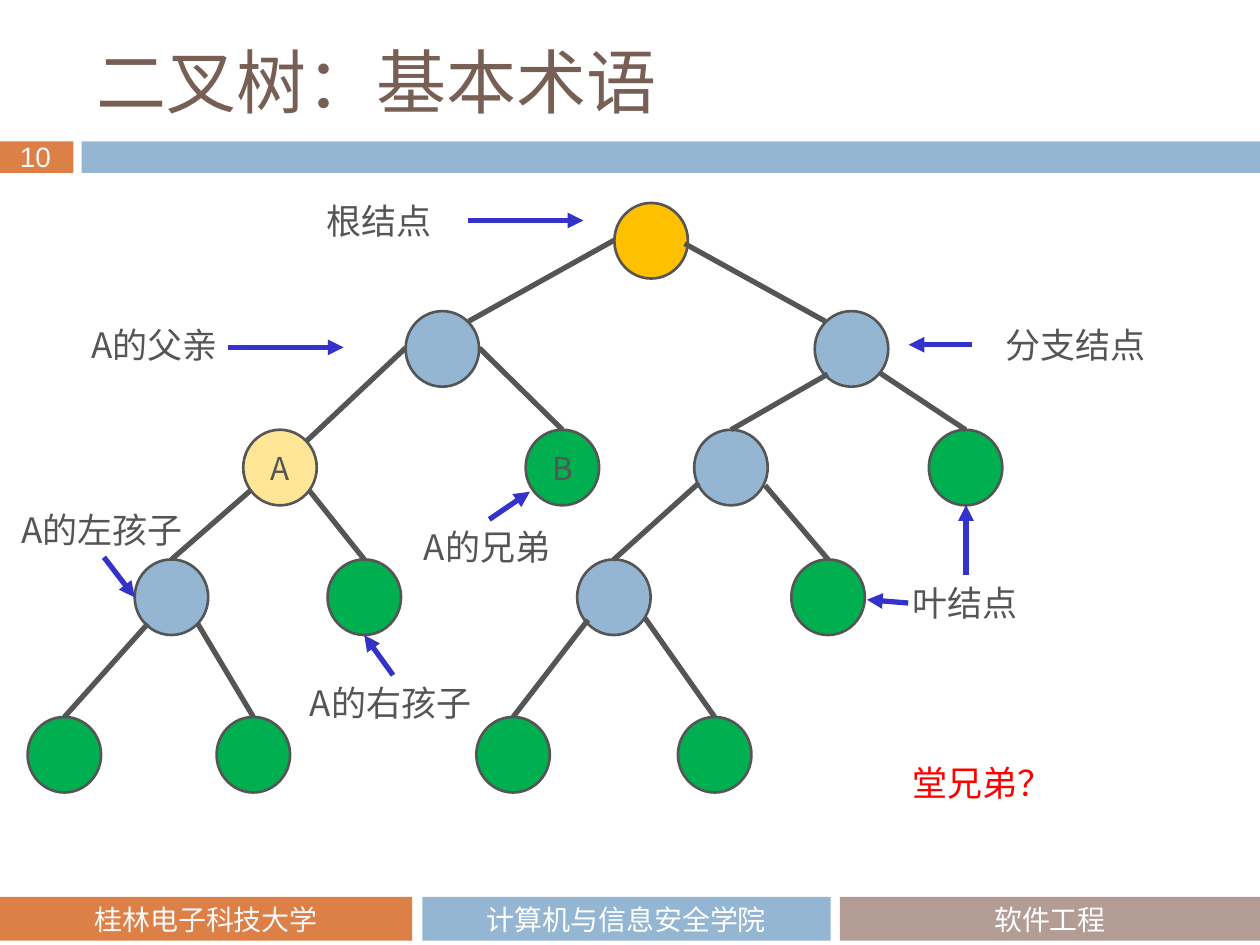
from lxml.etree import SubElement
from pptx import Presentation
from pptx.dml.color import RGBColor
from pptx.enum.shapes import MSO_CONNECTOR, MSO_SHAPE
from pptx.enum.text import MSO_ANCHOR, PP_ALIGN
from pptx.oxml.ns import qn
from pptx.util import Pt

ORANGE = RGBColor(0xDD, 0x80, 0x47)
BLUE = RGBColor(0x94, 0xB6, 0xD2)
TAUPE = RGBColor(0xB2, 0x9C, 0x93)
BROWN = RGBColor(0x77, 0x5F, 0x55)
WHITE = RGBColor(0xFF, 0xFF, 0xFF)
PALE = RGBColor(0xF9, 0xF9, 0xF9)
GRAY = RGBColor(0x55, 0x55, 0x55)
GOLD = RGBColor(0xFF, 0xC0, 0x00)
CREAM = RGBColor(0xFF, 0xE6, 0x97)
GREEN = RGBColor(0x00, 0xB0, 0x50)
INDIGO = RGBColor(0x33, 0x33, 0xCC)
RED = RGBColor(0xFF, 0x00, 0x00)

SANS = "Noto Sans CJK SC"
NODE_WIDTH, NODE_HEIGHT = 42, 43.2
LEVEL_TOPS = (116, 177.8, 245.6, 319.7, 409.7)

BARS = [
    (0, 80.8, 42, 18, ORANGE),
    (46.6, 80.8, 673.4, 18, BLUE),
    (0, 512.6, 235.6, 25, ORANGE),
    (241.4, 512.6, 233.3, 25, BLUE),
    (480, 512.6, 240, 25, TAUPE),
]
FOOTERS = [
    ("桂林电子科技大学", 0, 235.6, PALE),
    ("计算机与信息安全学院", 241.4, 233.3, WHITE),
    ("软件工程", 480, 240, WHITE),
]
# name: (level, left, fill, text)
NODES = {
    "root": (0, 351.1, GOLD, ""),
    "father": (1, 231.8, BLUE, ""),
    "uncle": (1, 465.6, BLUE, ""),
    "A": (2, 139, CREAM, "A"),
    "B": (2, 300.4, GREEN, "B"),
    "cousin": (2, 396.7, BLUE, ""),
    "cousin leaf": (2, 530.8, GREEN, ""),
    "left child": (3, 77, BLUE, ""),
    "right child": (3, 187.2, GREEN, ""),
    "inner": (3, 329.8, BLUE, ""),
    "inner leaf": (3, 452.2, GREEN, ""),
    "leaf 1": (4, 15.8, GREEN, ""),
    "leaf 2": (4, 123.8, GREEN, ""),
    "leaf 3": (4, 272.2, GREEN, ""),
    "leaf 4": (4, 387.4, GREEN, ""),
}
EDGE_STARTS = {
    "father": (351.1, 137.2),
    "uncle": (391.2, 139.2),
    "A": (231.8, 198.8),
    "B": (273.8, 198.8),
    "cousin": (473, 213.8),
    "cousin leaf": (502.6, 213),
    "left child": (143.5, 280),
    "right child": (176.5, 280),
    "inner": (399.4, 276),
    "inner leaf": (437.2, 277.4),
    "leaf 1": (84.5, 356.4),
    "leaf 2": (113, 356.4),
    "leaf 3": (336, 354.2),
    "leaf 4": (368.6, 353.2),
}
SIDE_ENDS = {"father": (267.8, 183.6), "uncle": (471.6, 183.6), "A": (175.2, 252)}
LABELS = [
    ("根结点", 179.3, 110.2, 75, GRAY),
    ("A的父亲", 45.2, 181.4, 88.6, GRAY),
    ("分支结点", 567.4, 181.4, 95, GRAY),
    ("A的兄弟", 235.2, 296.8, 88.6, GRAY),
    ("叶结点", 514.3, 329, 75, GRAY),
    ("A的左孩子", 5, 286.8, 108.7, GRAY),
    ("A的右孩子", 169.9, 385.8, 108.7, GRAY),
    ("堂兄弟？", 514.3, 431.5, 95, RED),
]
ARROWS = [
    ((267.4, 126), (333.4, 126)),
    ((130.3, 198.5), (196.4, 198.5)),
    ((552, 328.6), (552, 288.7)),
    ((519, 344.6), (495.4, 342.7)),
    ((279.6, 296.8), (302.8, 281)),
    ((224.6, 385.8), (208.2, 363)),
    ((59.4, 318.4), (77, 341.4)),
    ((555.6, 197), (519.2, 197)),
]


def write(shape, text, size, color, font=SANS, align=PP_ALIGN.LEFT,
          anchor=MSO_ANCHOR.TOP):
    frame = shape.text_frame
    frame.word_wrap = True
    frame.vertical_anchor = anchor
    para = frame.paragraphs[0]
    para.alignment = align
    span = para.add_run()
    span.text = text
    span.font.size = Pt(size)
    span.font.name = font
    span.font.color.rgb = color
    SubElement(span.font._element, qn("a:ea")).set("typeface", font)
    return frame


def add_label(page, text, left, top, width, height, *style, **options):
    box = page.shapes.add_textbox(Pt(left), Pt(top), Pt(width), Pt(height))
    return write(box, text, *style, **options)


def add_filled(page, kind, left, top, width, height, fill):
    shape = page.shapes.add_shape(kind, Pt(left), Pt(top), Pt(width), Pt(height))
    shape.shadow.inherit = False
    shape.fill.solid()
    shape.fill.fore_color.rgb = fill
    shape.line.fill.background()
    return shape


def add_line(page, start, end, color, arrow=False):
    line = page.shapes.add_connector(
        MSO_CONNECTOR.STRAIGHT, *(Pt(value) for value in (*start, *end)))
    line.line.color.rgb = color
    line.line.width = Pt(3)
    properties = line._element.spPr
    if arrow:
        SubElement(properties.find(qn("a:ln")), qn("a:tailEnd")).set("type", "triangle")
    SubElement(properties, qn("a:effectLst"))


def add_node(page, level, left, fill, text):
    node = add_filled(page, MSO_SHAPE.OVAL, left, LEVEL_TOPS[level],
                      NODE_WIDTH, NODE_HEIGHT, fill)
    node.line.color.rgb = GRAY
    node.line.width = Pt(1.5)
    if text:
        frame = write(node, text, 18, GRAY, align=PP_ALIGN.CENTER,
                      anchor=MSO_ANCHOR.MIDDLE)
        frame.word_wrap = False


def top_center(name):
    level, left = NODES[name][:2]
    return left + NODE_WIDTH / 2, LEVEL_TOPS[level]


def main():
    deck = Presentation()
    deck.slide_width, deck.slide_height = Pt(720), Pt(540)
    page = deck.slides.add_slide(deck.slide_layouts[6])

    for bar in BARS:
        add_filled(page, MSO_SHAPE.RECTANGLE, *bar)
    for text, left, width, color in FOOTERS:
        add_label(page, text, left, 512.6, width, 25, 16, color, "Calibri",
                  align=PP_ALIGN.CENTER, anchor=MSO_ANCHOR.MIDDLE)
    add_label(page, "10", 4.3, 76.3, 34.6, 26.6, 16, PALE, "Arial").word_wrap = False
    add_label(page, "二叉树：基本术语", 48.2, 18, 642.2, 56.2, 40, BROWN,
              "Noto Sans CJK JP", anchor=MSO_ANCHOR.MIDDLE)

    for node in NODES.values():
        add_node(page, *node)
    for child, start in EDGE_STARTS.items():
        add_line(page, start, SIDE_ENDS.get(child) or top_center(child), GRAY)
    for text, left, top, width, color in LABELS:
        add_label(page, text, left, top, width, 31.7, 20, color)
    for start, end in ARROWS:
        add_line(page, start, end, INDIGO, arrow=True)

    deck.save("out.pptx")


if __name__ == "__main__":
    main()
